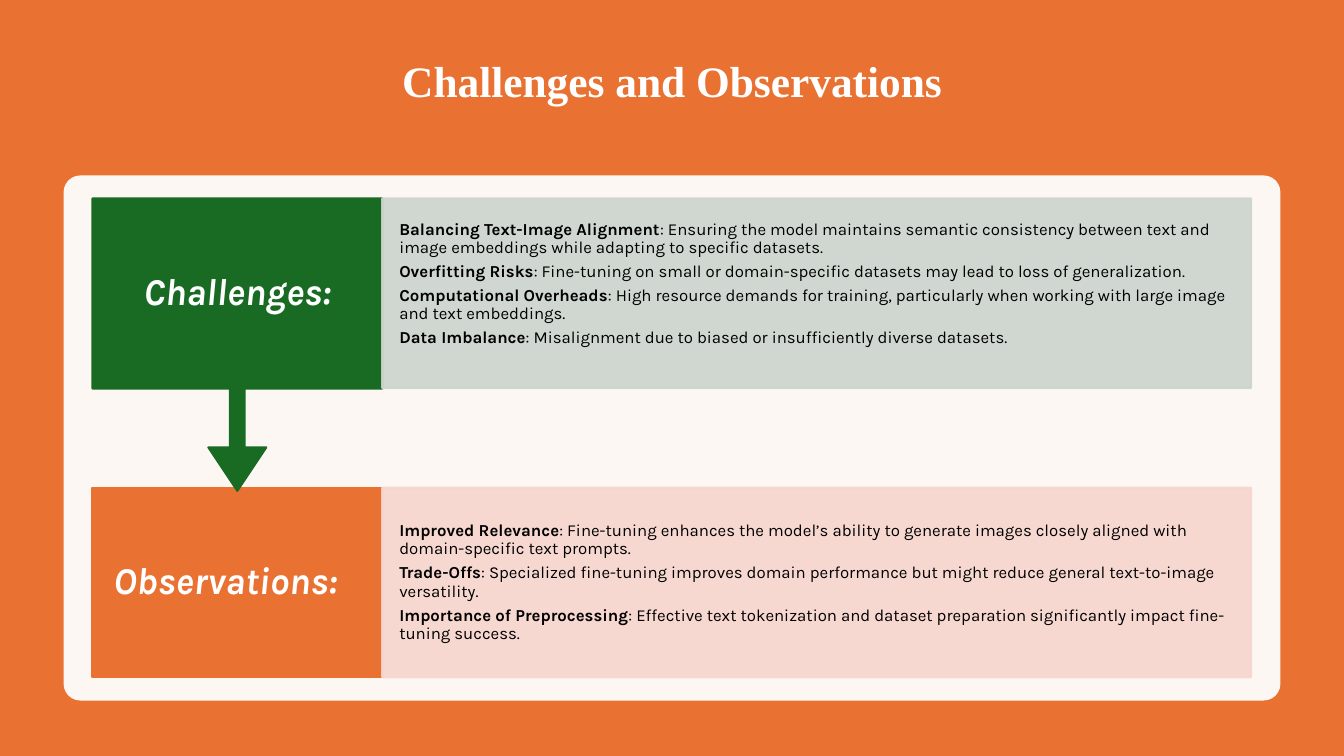
"""Build the slide "Challenges and Observations"."""
from dataclasses import dataclass

from lxml import etree
from pptx import Presentation
from pptx.dml.color import RGBColor
from pptx.dml.fill import FillFormat
from pptx.enum.shapes import MSO_SHAPE
from pptx.enum.text import MSO_ANCHOR, PP_ALIGN
from pptx.oxml.ns import qn
from pptx.shapes.autoshape import Shape
from pptx.slide import Slide
from pptx.text.text import TextFrame
from pptx.util import Pt

RECTANGLE = MSO_SHAPE.RECTANGLE
ROUNDED = MSO_SHAPE.ROUNDED_RECTANGLE
ARROW_CALLOUT = MSO_SHAPE.UP_ARROW_CALLOUT
MIDDLE = MSO_ANCHOR.MIDDLE
CENTER = PP_ALIGN.CENTER
LEFT = PP_ALIGN.LEFT

ORANGE = RGBColor(0xE9, 0x71, 0x32)
GREEN = RGBColor(0x19, 0x6B, 0x24)
PALE_PINK = RGBColor(0xF7, 0xD5, 0xCE)
PALE_GREEN = RGBColor(0xCC, 0xD4, 0xCD)
WHITE = RGBColor(0xFF, 0xFF, 0xFF)
BLACK = RGBColor(0, 0, 0)

SLIDE_WIDTH, SLIDE_HEIGHT = 960, 540
LABEL_LEFT, LABEL_WIDTH = 66, 207
DETAIL_LEFT, DETAIL_WIDTH = LABEL_LEFT + LABEL_WIDTH, 620.6
FIRST_TOP, ROW_HEIGHT, ROW_PITCH = 141.8, 135.4, 206.6
CALLOUT_HEIGHT = 208.8
LINE_WIDTH = 1.5


@dataclass(frozen=True)
class Box:
    left: float
    top: float
    width: float
    height: float


@dataclass(frozen=True)
class Insets:
    left: float
    top: float
    right: float
    bottom: float


@dataclass(frozen=True)
class Style:
    font: str
    size: float
    color: RGBColor
    align: PP_ALIGN
    space_after: float = 0
    italic: bool = False


@dataclass(frozen=True)
class Point:
    term: str
    detail: str = ""


@dataclass(frozen=True)
class Section:
    row: int
    label: str
    color: RGBColor
    tint: RGBColor
    points_down: bool
    label_insets: Insets
    detail_insets: Insets
    points: tuple[Point, ...]


TITLE_STYLE = Style("Times New Roman", 31, WHITE, CENTER)
LABEL_STYLE = Style("Karla", 27, WHITE, CENTER, 9.4, True)
DETAIL_STYLE = Style("Karla", 12, BLACK, LEFT, 4.2)

SECTIONS = (
    Section(1, "Observations:", ORANGE, PALE_PINK, False,
            Insets(14.4, 15.1, 31.4, 15.1), Insets(12.2, 12.2, 12.2, 12.2), (
                Point("Improved Relevance", ": Fine-tuning enhances the model’s ability to generate "
                      "images closely aligned with domain-specific text prompts."),
                Point("Trade-Offs", ": Specialized fine-tuning improves domain performance but "
                      "might reduce general text-to-image versatility."),
                Point("Importance of Preprocessing", ": Effective text tokenization and dataset "
                      "preparation significantly impact fine-tuning success."),
            )),
    Section(0, "Challenges:", GREEN, PALE_GREEN, True,
            Insets(14.4, 15.1, 14.4, 15.1), Insets(12.2, 12.2, 12.2, 25.2), (
                Point("Balancing Text-Image Alignment", ": Ensuring the model maintains semantic "
                      "consistency between text and image embeddings while adapting to specific "
                      "datasets."),
                Point("Overfitting Risks", ": Fine-tuning on small or domain-specific datasets may "
                      "lead to loss of generalization."),
                Point("Computational Overheads", ": High resource demands for training, "
                      "particularly when working with large image and text embeddings."),
                Point("Data Imbalance", ": Misalignment due to biased or insufficiently diverse "
                      "datasets."),
            )),
)


def paint(fill: FillFormat, color: RGBColor, opacity: int) -> None:
    fill.solid()
    fill.fore_color.rgb = color
    if opacity < 100:
        color_element = fill._xPr.find(qn("a:solidFill"))[0]
        etree.SubElement(color_element, qn("a:alpha")).set("val", str(opacity * 1000))


def add_block(slide: Slide, kind: MSO_SHAPE, box: Box, color: RGBColor,
              opacity: int = 100, outlined: bool = False) -> Shape:
    block = slide.shapes.add_shape(kind, Pt(box.left), Pt(box.top), Pt(box.width), Pt(box.height))
    block.shadow.inherit = False
    paint(block.fill, color, opacity)
    if outlined:
        block.line.width = Pt(LINE_WIDTH)
        paint(block.line.fill, color, opacity)
    else:
        block.line.fill.background()
    return block


def add_text_box(slide: Slide, box: Box) -> Shape:
    return slide.shapes.add_textbox(Pt(box.left), Pt(box.top), Pt(box.width), Pt(box.height))


def write(frame: TextFrame, points: tuple[Point, ...], style: Style, insets: Insets) -> None:
    frame.word_wrap = True
    frame.vertical_anchor = MIDDLE
    frame.margin_left, frame.margin_top = Pt(insets.left), Pt(insets.top)
    frame.margin_right, frame.margin_bottom = Pt(insets.right), Pt(insets.bottom)
    frame.text = "\n".join(point.term for point in points)
    for paragraph, point in zip(frame.paragraphs, points):
        paragraph.alignment = style.align
        paragraph.line_spacing = 0.9
        paragraph.space_after = Pt(style.space_after)
        if point.detail:
            paragraph.add_run().text = point.detail
        for position, run in enumerate(paragraph.runs):
            run.font.name = style.font
            run.font.size = Pt(style.size)
            run.font.color.rgb = style.color
            run.font.bold = position == 0
            run.font.italic = style.italic


def add_section(slide: Slide, section: Section) -> None:
    top = FIRST_TOP + section.row * ROW_PITCH
    label_box = Box(LABEL_LEFT, top, LABEL_WIDTH, ROW_HEIGHT)
    if section.points_down:
        callout_box = Box(LABEL_LEFT, top, LABEL_WIDTH, CALLOUT_HEIGHT)
        callout = add_block(slide, ARROW_CALLOUT, callout_box, section.color, outlined=True)
        callout.rotation = 180
        for index, value in enumerate((0.05, 0.1, 0.15, 0.65)):
            callout.adjustments[index] = value
        label = add_text_box(slide, label_box)
    else:
        label = add_block(slide, RECTANGLE, label_box, section.color, outlined=True)
    write(label.text_frame, (Point(section.label),), LABEL_STYLE, section.label_insets)
    detail_box = Box(DETAIL_LEFT, top, DETAIL_WIDTH, ROW_HEIGHT)
    details = add_block(slide, RECTANGLE, detail_box, section.tint, 90, True)
    write(details.text_frame, section.points, DETAIL_STYLE, section.detail_insets)


def main() -> None:
    deck = Presentation()
    deck.slide_width, deck.slide_height = Pt(SLIDE_WIDTH), Pt(SLIDE_HEIGHT)
    slide = deck.slides.add_slide(deck.slide_layouts[6])
    add_block(slide, RECTANGLE, Box(0, 0, SLIDE_WIDTH, SLIDE_HEIGHT), ORANGE)
    title = add_text_box(slide, Box(66, 36, 828, 79.2))
    write(title.text_frame, (Point("Challenges and Observations"),), TITLE_STYLE,
          Insets(7.2, 3.6, 7.2, 35.6))
    card = add_block(slide, ROUNDED, Box(45.4, 125.3, 869.2, 375.1), WHITE, 95)
    card.adjustments[0] = 0.032
    for section in SECTIONS:
        add_section(slide, section)
    deck.save("out.pptx")


if __name__ == "__main__":
    main()
